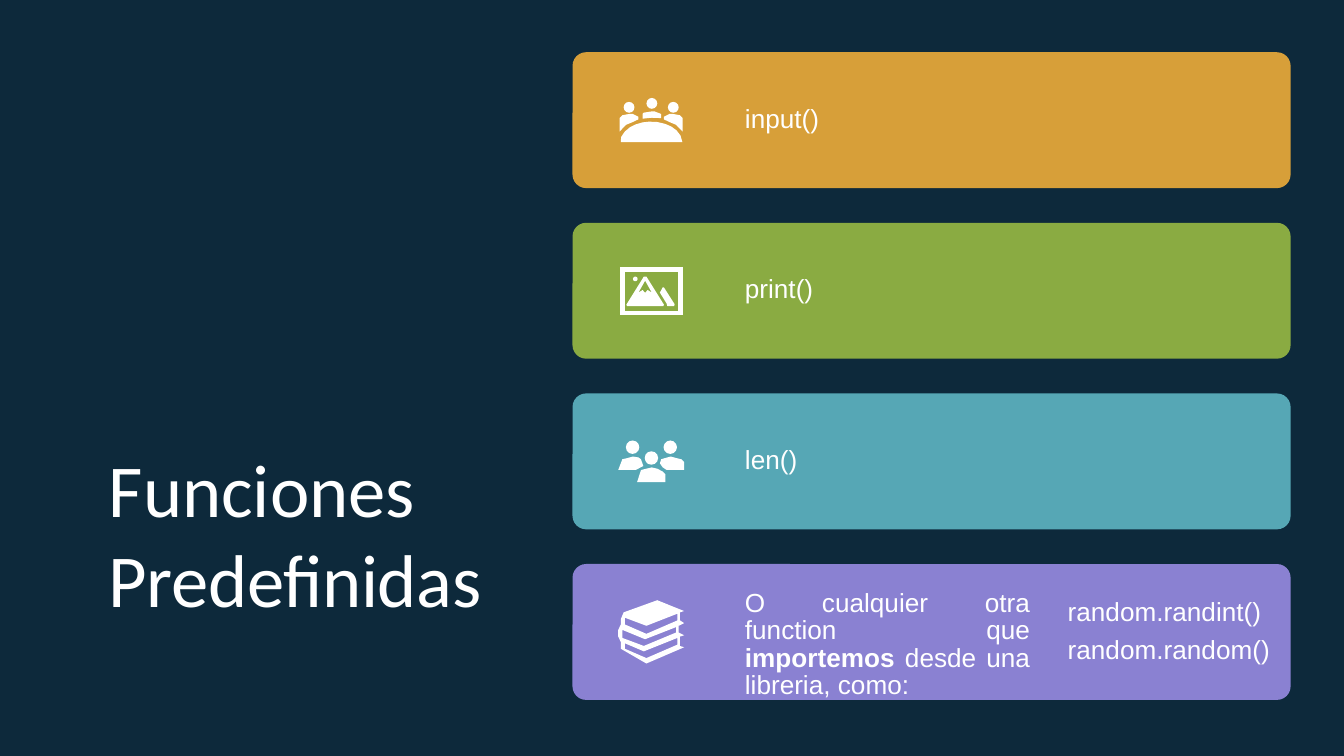
from dataclasses import dataclass

from lxml.etree import SubElement
from pptx import Presentation
from pptx.dml.color import RGBColor
from pptx.enum.shapes import MSO_CONNECTOR, MSO_SHAPE
from pptx.enum.text import PP_ALIGN
from pptx.oxml.ns import qn
from pptx.util import Pt

Point = tuple[float, float]
Outline = list[Point]


@dataclass(frozen=True)
class Theme:
    background: str = "0D293B"
    ink: str = "FFFFFF"
    amber: str = "D79F39"
    green: str = "8AAB42"
    teal: str = "56A7B5"
    violet: str = "8A81D2"
    title_font: str = "Calibri"
    body_font: str = "Arial"
    title_size: float = 40
    body_size: float = 14
    frame_width: float = 2.6


@dataclass(frozen=True)
class Span:
    text: str
    bold: bool = False
    tracking: float = 0


@dataclass(frozen=True)
class TextBlock:
    left: float
    top: float
    width: float
    height: float
    paragraphs: list[list[Span]]
    font: str
    size: float
    wrap: bool = False
    justified: bool = False
    line_spacing: float | None = None
    space_before: float = 0


@dataclass(frozen=True)
class Icon:
    """Parts measured from the icon column and the top of its card."""
    dots: list[Point]
    dot_size: float
    figures: list[list[Outline]]
    strokes: list[tuple[Point, Point]]


@dataclass(frozen=True)
class Card:
    color: str
    icon: Icon
    texts: list[TextBlock]


THEME = Theme()
PAGE_WIDTH, PAGE_HEIGHT = 720, 405
CARD_LEFT, CARD_TOP, CARD_WIDTH, CARD_HEIGHT = 306.7, 28, 384.7, 72.8
CARD_PITCH = 91.4
ICON_LEFT = 331.2
LABEL_LEFT = 399.1

# Icons
SHOULDER = [(0.7, 35.3), (2.2, 33.8), (5.8, 33.1), (7.9, 33.1), (10.8, 34.6),
            (10.8, 36), (7.9, 37.4), (4.3, 38.9), (2.2, 41), (0.7, 42.5)]
MEETING = Icon(
    dots=[(2.9, 26.6), (15.1, 24.5), (26.6, 26.6)], dot_size=5.8,
    figures=[
        [SHOULDER],
        [[(35.3 - x, y) for x, y in SHOULDER]],
        [[(13, 33.1), (13.7, 32.4), (18, 31.7), (19.4, 31.7), (23, 33.1),
          (23, 35.3), (18, 35.1), (13, 35.6)]],
        [[(1.4, 48.2), (1.6, 45.4), (3.6, 42.5), (6.5, 40.1), (9.4, 38.7),
          (13, 37.6), (16.6, 37.2), (21, 37.4), (25.2, 38.4), (28.4, 39.8),
          (31.2, 41.8), (33.4, 44.6), (34.4, 48.2)]],
    ],
    strokes=[])
PHOTO = Icon(
    dots=[(7.9, 28.8)], dot_size=2.5,
    figures=[
        [[(4.3, 43.9), (4.8, 44.6), (24.1, 44.6), (24.5, 43.9), (15.1, 28.8),
          (13.7, 28.8)],
         [(14.4, 31), (10.8, 37.4), (13, 36), (14.4, 37.4), (15.8, 36), (18, 37.4)]],
        [[(22.3, 37.4), (23.8, 34.6), (24.5, 34.6), (30.2, 43.6), (29.9, 44.6),
          (26.3, 44.6), (25.9, 43.2)]],
    ],
    strokes=[((0.9, 25.2), (34.7, 25.2)), ((0.9, 48.3), (34.7, 48.3)),
             ((2.2, 26.5), (2.2, 47)), ((33.4, 26.5), (33.4, 47))])
GROUP = Icon(
    dots=[(4.1, 25.2), (24.3, 25.2), (14.2, 31)], dot_size=7.2,
    figures=[
        [[(0, 41), (2.2, 35.3), (5, 34.6), (7.9, 33.8), (10.8, 34.3),
          (12.2, 35.3), (13.4, 38.9), (9.4, 41)]],
        [[(35.3, 41), (35.3, 36.7), (33.8, 35.3), (31, 34.6), (28.1, 33.8),
          (25.2, 34.6), (23, 35.3), (22.3, 37.4), (23.8, 39.6), (25.9, 41)]],
        [[(10.1, 47.5), (12.2, 41), (15.1, 40.3), (18, 39.6), (20.9, 40.3),
          (23.8, 41.8), (25.2, 43.2), (25.2, 47.5)]],
    ],
    strokes=[])
BOOKS = Icon(
    dots=[], dot_size=0,
    figures=[[
        [(20.9, 19.4), (2.9, 25.9), (1.4, 29.5), (1.4, 32.4), (0, 35.3),
         (0, 38.9), (1.4, 41.8), (1.4, 45.4), (15.1, 53.3), (35.3, 44.6),
         (33.1, 43.9), (33.1, 38.9), (35.3, 38.2), (32.4, 36.7), (32.4, 33.1),
         (35.3, 31.7), (33.1, 30.2), (33.1, 25.9), (35.3, 25.2)],
        [(3.6, 28.8), (15.1, 33.1), (31.7, 26.6), (31.7, 30.2), (15.1, 37.4), (3.6, 32.4)],
        [(2.2, 35.3), (14.4, 40.3), (31, 33.8), (31, 36.7), (13.7, 43.9), (2.2, 39.6)],
        [(3.6, 42.5), (13.7, 46.8), (31.7, 39.6), (31.7, 43.2), (15.1, 50.4), (3.6, 45.4)],
    ]],
    strokes=[])


def label(text: str, width: float) -> TextBlock:
    return TextBlock(LABEL_LEFT, 26.7, width, 18, [[Span(text)]],
                     THEME.body_font, THEME.body_size)


# Content
TITLE = TextBlock(58.3, 237.3, 204.5, 99.4,
                  [[Span("Funciones")], [Span("Predefinidas", tracking=-0.2)]],
                  THEME.title_font, THEME.title_size)
IMPORT_NOTE = TextBlock(
    LABEL_LEFT, 14.4, 152.8, 44.6,
    [[Span("O cualquier otra function que "), Span("importemos ", bold=True),
      Span("desde una libreria, como:")]],
    THEME.body_font, THEME.body_size, wrap=True, justified=True, line_spacing=14.5)
EXAMPLES = TextBlock(572, 16.7, 110.2, 38.2,
                     [[Span("random.randint()")], [Span("random.random()")]],
                     THEME.body_font, THEME.body_size, space_before=3.4)
CARDS = [
    Card(THEME.amber, MEETING, [label("input()", 41.8)]),
    Card(THEME.green, PHOTO, [label("print()", 38.9)]),
    Card(THEME.teal, GROUP, [label("len()", 30.2)]),
    Card(THEME.violet, BOOKS, [IMPORT_NOTE, EXAMPLES]),
]


def paint(shape, color: str) -> None:
    shape.shadow.inherit = False
    shape.fill.solid()
    shape.fill.fore_color.rgb = RGBColor.from_string(color)
    shape.line.fill.background()


def draw_text(page, block: TextBlock, offset: float = 0) -> None:
    box = page.shapes.add_textbox(Pt(block.left), Pt(block.top + offset),
                                  Pt(block.width), Pt(block.height))
    frame = box.text_frame
    frame.word_wrap = block.wrap
    frame.margin_left = frame.margin_top = frame.margin_right = frame.margin_bottom = 0
    for index, spans in enumerate(block.paragraphs):
        para = frame.add_paragraph() if index else frame.paragraphs[0]
        para.alignment = PP_ALIGN.JUSTIFY if block.justified else PP_ALIGN.LEFT
        if block.line_spacing:
            para.line_spacing = Pt(block.line_spacing)
        if index and block.space_before:
            para.space_before = Pt(block.space_before)
        for span in spans:
            run = para.add_run()
            run.text = span.text
            run.font.name, run.font.size = block.font, Pt(block.size)
            run.font.bold = span.bold
            run.font.color.rgb = RGBColor.from_string(THEME.ink)
            if span.tracking:
                run._r.get_or_add_rPr().set("spc", str(round(span.tracking * 100)))


def draw_icon(page, icon: Icon, top: float) -> None:
    def place(point: Point) -> tuple[int, int]:
        return Pt(ICON_LEFT + point[0]), Pt(top + point[1])

    for dot in icon.dots:
        paint(page.shapes.add_shape(MSO_SHAPE.OVAL, *place(dot),
                                    Pt(icon.dot_size), Pt(icon.dot_size)), THEME.ink)
    for outlines in icon.figures:
        builder = page.shapes.build_freeform(*place(outlines[0][0]))
        for index, outline in enumerate(outlines):
            if index:
                builder.move_to(*place(outline[0]))
            builder.add_line_segments([place(point) for point in outline[1:]], close=True)
        paint(builder.convert_to_shape(), THEME.ink)
    for start, end in icon.strokes:
        stroke = page.shapes.add_connector(MSO_CONNECTOR.STRAIGHT, *place(start), *place(end))
        stroke.line.color.rgb = RGBColor.from_string(THEME.ink)
        stroke.line.width = Pt(THEME.frame_width)
        SubElement(stroke.element.spPr, qn("a:effectLst"))


def draw_card(page, card: Card, top: float) -> None:
    panel = page.shapes.add_shape(MSO_SHAPE.ROUNDED_RECTANGLE, Pt(CARD_LEFT), Pt(top),
                                  Pt(CARD_WIDTH), Pt(CARD_HEIGHT))
    panel.adjustments[0] = 0.1
    paint(panel, card.color)
    draw_icon(page, card.icon, top)
    for block in card.texts:
        draw_text(page, block, top)


def main() -> None:
    deck = Presentation()
    deck.slide_width, deck.slide_height = Pt(PAGE_WIDTH), Pt(PAGE_HEIGHT)
    page = deck.slides.add_slide(deck.slide_layouts[6])
    paint(page.shapes.add_shape(MSO_SHAPE.RECTANGLE, 0, 0, Pt(PAGE_WIDTH), Pt(PAGE_HEIGHT)),
          THEME.background)
    draw_text(page, TITLE)
    for row, card in enumerate(CARDS):
        draw_card(page, card, CARD_TOP + row * CARD_PITCH)
    deck.save("out.pptx")


if __name__ == "__main__":
    main()
